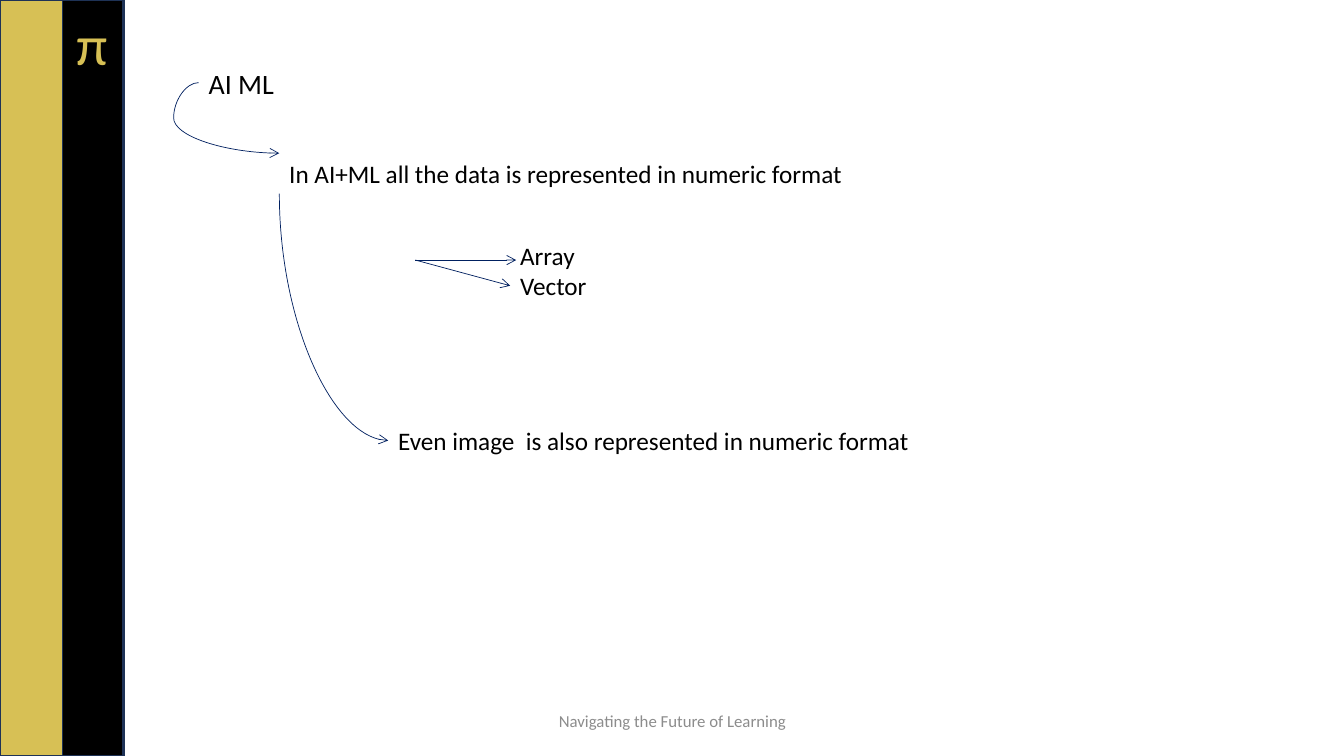
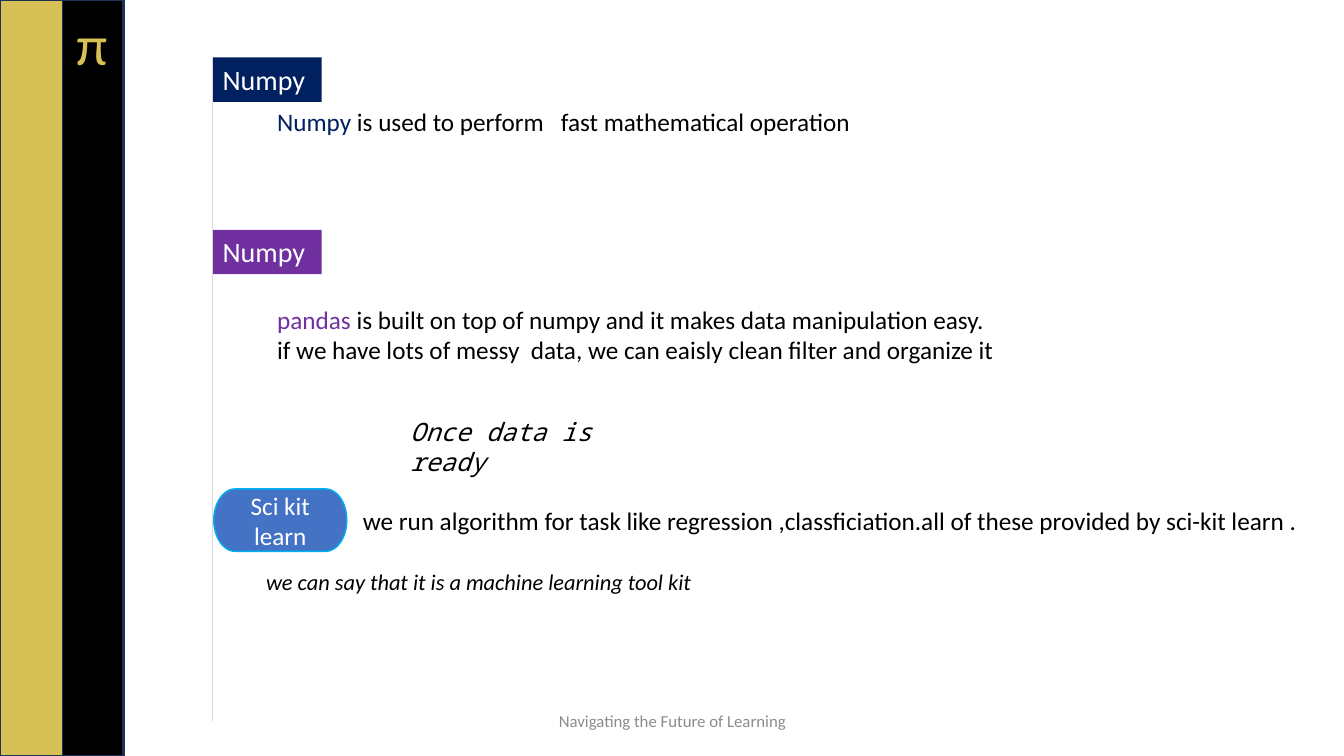
from dataclasses import dataclass

from lxml.etree import SubElement
from pptx import Presentation
from pptx.dml.color import RGBColor
from pptx.enum.shapes import MSO_CONNECTOR as Link, MSO_SHAPE as Preset
from pptx.enum.text import MSO_ANCHOR as Anchor, PP_ALIGN as Align
from pptx.oxml.ns import qn
from pptx.util import Inches, Pt

COLORS = {
    "gold": "D7C055", "black": "000000", "white": "FFFFFF", "edge": "1E3256",
    "gray": "8C8C8C", "navy": "002060", "purple": "7030A0", "rail": "D9D9D9",
    "blue": "4472C4", "sky": "00B0F0",
}
FONT = "Calibri"
MONO = "Noto Sans Mono"
FOOTER = "Navigating the Future of Learning"


@dataclass
class Run:
    text: str
    color: str = "black"
    size: float = 18
    font: str = FONT
    italic: bool = False


@dataclass
class Box:
    left: float
    top: float
    width: float
    height: float


def rgb(color: str) -> RGBColor:
    return RGBColor.from_string(COLORS[color])


def write(shape, paragraphs: list[list[Run]], align=Align.LEFT, anchor=Anchor.TOP) -> None:
    frame = shape.text_frame
    frame.word_wrap = True
    frame.vertical_anchor = anchor
    for index, runs in enumerate(paragraphs):
        paragraph = frame.paragraphs[0] if index == 0 else frame.add_paragraph()
        paragraph.alignment = align
        for item in runs:
            run = paragraph.add_run()
            run.text = item.text
            run.font.name = item.font
            run.font.size = Pt(item.size)
            run.font.italic = item.italic
            run.font.color.rgb = rgb(item.color)


def add_text(slide, box: Box, *paragraphs: list[Run], align=Align.LEFT, anchor=Anchor.TOP):
    shape = slide.shapes.add_textbox(
        Inches(box.left), Inches(box.top), Inches(box.width), Inches(box.height))
    write(shape, list(paragraphs), align, anchor)
    return shape


def add_block(slide, box: Box, fill: str, line: str | None = None, preset=Preset.RECTANGLE):
    shape = slide.shapes.add_shape(
        preset, Inches(box.left), Inches(box.top), Inches(box.width), Inches(box.height))
    shape.shadow.inherit = False
    shape.fill.solid()
    shape.fill.fore_color.rgb = rgb(fill)
    if line:
        shape.line.color.rgb = rgb(line)
        shape.line.width = Pt(1)
    else:
        shape.line.fill.background()
    return shape


def add_line(slide, start: tuple[float, float], end: tuple[float, float],
             color: str = "navy", arrow: bool = True, kind=Link.STRAIGHT):
    connector = slide.shapes.add_connector(kind, *map(Inches, start + end))
    connector.line.color.rgb = rgb(color)
    connector.line.width = Pt(0.5)
    if arrow:
        SubElement(connector.line._get_or_add_ln(), qn("a:tailEnd"), type="arrow")
    SubElement(connector._element.spPr, qn("a:effectLst"))
    return connector


def add_side_loop(slide, start: tuple[float, float], end: tuple[float, float], bend: int) -> None:
    """Curve that swings out to the left; bend is in 1/100000 of its width."""
    connector = add_line(slide, start, end, kind=Link.CURVE)
    guides = connector._element.spPr.find(qn("a:prstGeom")).get_or_add_avLst()
    SubElement(guides, qn("a:gd"), name="adj1", fmla=f"val {bend}")


def add_quarter_curve(slide, start: tuple[float, float], end: tuple[float, float]) -> None:
    """Curve that leaves downwards and arrives rightwards: a rotated quarter bend."""
    middle_x, middle_y = (start[0] + end[0]) / 2, (start[1] + end[1]) / 2
    half_width, half_height = (end[1] - start[1]) / 2, (end[0] - start[0]) / 2
    connector = add_line(
        slide, (middle_x + half_width, middle_y - half_height),
        (middle_x - half_width, middle_y + half_height), kind=Link.CURVE)
    properties = connector._element.spPr
    properties.find(qn("a:xfrm")).set("rot", str(270 * 60000))
    properties.find(qn("a:prstGeom")).set("prst", "curvedConnector2")


def add_frame_slide(presentation):
    slide = presentation.slides.add_slide(presentation.slide_layouts[6])
    # Side bands, symbol and footer
    add_block(slide, Box(0, 0, 1.23, 7.5), "gold", "edge")
    add_block(slide, Box(0.62, 0, 0.6, 7.5), "black", "edge")
    add_text(slide, Box(0.66, 0.05, 0.48, 0.77), [Run("π", "gold", 40)])
    add_text(slide, Box(4.42, 6.95, 4.5, 0.4), [Run(FOOTER, "gray", 12)],
             align=Align.CENTER, anchor=Anchor.MIDDLE)
    return slide


def build_data_slide(presentation) -> None:
    slide = add_frame_slide(presentation)
    # Statements
    add_text(slide, Box(1.97, 0.61, 0.92, 0.44), [Run("AI ML", size=20)])
    add_text(slide, Box(2.77, 1.52, 5.75, 0.4),
             [Run("In AI+ML all the data is represented in numeric format")])
    add_text(slide, Box(3.85, 4.17, 5.33, 0.4),
             [Run("Even image  is also represented in numeric format")])
    formats = add_text(slide, Box(5.06, 2.33, 0.94, 1.01), [Run("Array")], [Run("Vector")])

    # Arrows
    add_side_loop(slide, (1.97, 0.82), (2.77, 1.52), -31000)
    add_quarter_curve(slide, (2.77, 1.92), (3.85, 4.37))
    fork = (4.12, 2.58)
    add_line(slide, fork, (5.12, 2.58))
    add_line(slide, fork, (5.06, 2.84)).end_connect(formats, 1)


def build_library_slide(presentation) -> None:
    slide = add_frame_slide(presentation)
    # Tags on a thin rail
    rail_left, rail_top = 2.11, 0.57
    for top, color in ((rail_top, "navy"), (2.28, "purple")):
        tag = add_block(slide, Box(rail_left, top, 1.08, 0.44), color)
        write(tag, [[Run("Numpy", "white", 20)]])
    add_line(slide, (rail_left, rail_top), (rail_left, 7.15), "rail", arrow=False)
    toolkit = add_block(slide, Box(2.12, 4.85, 1.32, 0.62), "blue", "sky",
                        Preset.FLOWCHART_TERMINATOR)
    write(toolkit, [[Run("Sci kit learn", "white")]], Align.CENTER, Anchor.MIDDLE)

    # Descriptions
    add_text(slide, Box(2.65, 1.01, 6.07, 0.4),
             [Run("Numpy", "navy"),
              Run(" is used to perform   fast mathematical operation")])
    add_text(slide, Box(2.65, 2.97, 9.61, 0.71),
             [Run("pandas", "purple"),
              Run(" is built on top of numpy and it makes data manipulation easy.")],
             [Run("if we have lots of messy  data, we can eaisly clean filter and organize it")])
    add_text(slide, Box(3.97, 4.08, 2.85, 0.4),
             [Run("Once data is ready", font=MONO, italic=True)])
    add_text(slide, Box(3.5, 4.96, 9.61, 0.4),
             [Run("we run algorithm for task like regression ,classficiation."
                  "all of these provided by sci-kit learn .")])
    add_text(slide, Box(2.54, 5.59, 4.98, 0.37),
             [Run("we can say that it is a machine learning tool kit", size=16, italic=True)])


def main() -> None:
    presentation = Presentation()
    presentation.slide_width = Inches(13.33)
    presentation.slide_height = Inches(7.5)
    build_data_slide(presentation)
    build_library_slide(presentation)
    presentation.save("out.pptx")


if __name__ == "__main__":
    main()
